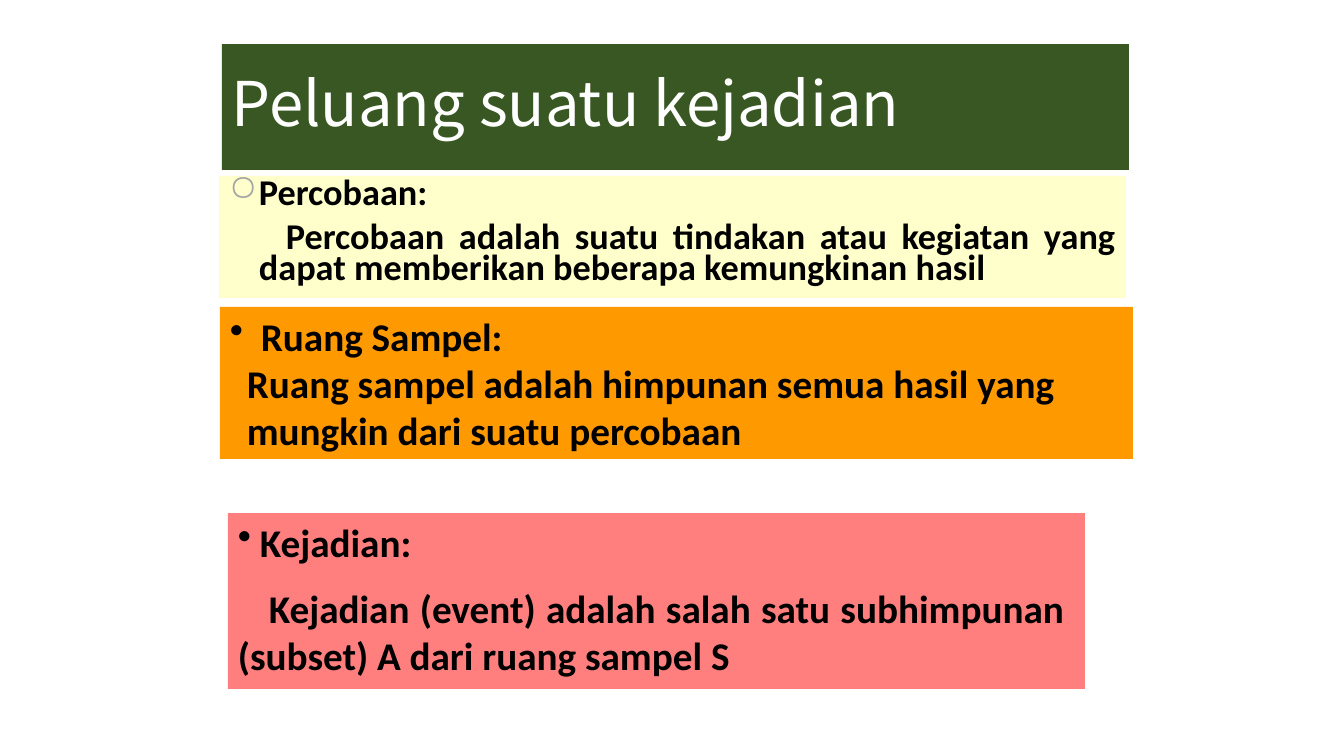
import pptx
import pptx.util
import pptx.dml.color
import pptx.enum.shapes
import pptx.enum.text
import pptx.oxml.ns
from lxml import etree

RGBColor = pptx.dml.color.RGBColor
Align = pptx.enum.text.PP_ALIGN
Anchor = pptx.enum.text.MSO_ANCHOR

PIXELS_PER_INCH = 100.8
GREEN = RGBColor(0x38, 0x57, 0x23)
CREAM = RGBColor(0xFF, 0xFF, 0xCC)
ORANGE = RGBColor(0xFF, 0x99, 0x00)
RED = RGBColor(0xFF, 0x00, 0x00)
WHITE = RGBColor(0xFF, 0xFF, 0xFF)
BLACK = RGBColor(0x00, 0x00, 0x00)
GRAY = RGBColor(0xA5, 0xA5, 0xA5)


def px(length):
    return pptx.util.Emu(round(length * 914400 / PIXELS_PER_INCH))


def add_child(parent, tag, **attributes):
    child = etree.SubElement(parent, pptx.oxml.ns.qn(tag))
    for name, value in attributes.items():
        child.set(name, str(value))
    return child


def add_panel(slide, left, top, width, height, color, anchor=Anchor.TOP, opacity=100):
    """Add a filled rectangle and return its text frame."""
    shape = slide.shapes.add_shape(
        pptx.enum.shapes.MSO_SHAPE.RECTANGLE, px(left), px(top), px(width), px(height))
    shape.shadow.inherit = False
    shape.line.fill.background()
    shape.fill.solid()
    shape.fill.fore_color.rgb = color
    if opacity < 100:
        color_element = shape.fill._xPr.find(".//" + pptx.oxml.ns.qn("a:srgbClr"))
        add_child(color_element, "a:alpha", val=opacity * 1000)
    frame = shape.text_frame
    frame.word_wrap = True
    frame.vertical_anchor = anchor
    return frame


def add_paragraph(frame, text, size, font="Calibri", color=BLACK, bold=True,
                  align=Align.LEFT, margin=0, indent=0, right=0,
                  line_spacing=1.0, space_before=0, bullet=None, bullet_color=BLACK):
    """Fill the empty first paragraph of the frame, or append another one."""
    paragraph = frame.paragraphs[0]
    if paragraph.runs:
        paragraph = frame.add_paragraph()
    paragraph.alignment = align
    paragraph.line_spacing = line_spacing
    paragraph.space_before = pptx.util.Pt(space_before)
    properties = paragraph._p.get_or_add_pPr()
    for name, length in (("marL", margin), ("marR", right), ("indent", indent)):
        properties.set(name, str(px(length)))
    if bullet:
        add_child(add_child(properties, "a:buClr"), "a:srgbClr", val=bullet_color)
        add_child(properties, "a:buChar", char=bullet)
    run = paragraph.add_run()
    run.text = text
    run.font.name = font
    run.font.size = pptx.util.Pt(size)
    run.font.bold = bold
    run.font.color.rgb = color


def main():
    presentation = pptx.Presentation()
    presentation.slide_width = px(1344)
    presentation.slide_height = px(756)
    slide = presentation.slides.add_slide(presentation.slide_layouts[6])

    title = add_panel(slide, 222, 44, 907, 126, GREEN, anchor=Anchor.MIDDLE)
    add_paragraph(title, "Peluang suatu kejadian", 44, font="Noto Sans CJK JP",
                  color=WHITE, bold=False, line_spacing=0.9)

    experiment = add_panel(slide, 219, 176, 907, 122, CREAM)
    add_paragraph(experiment, "Percobaan:", 25.9, margin=30, indent=-30,
                  line_spacing=0.7, bullet="○", bullet_color=GRAY)
    add_paragraph(experiment,
                  "Percobaan adalah suatu tindakan atau kegiatan yang "
                  "dapat memberikan beberapa kemungkinan hasil",
                  25.9, align=Align.JUSTIFY, margin=30, indent=27,
                  line_spacing=0.7, space_before=10)

    sample_space = add_panel(slide, 220, 307, 913, 152, ORANGE)
    add_paragraph(sample_space, "Ruang Sampel:", 28, margin=31, indent=-31, bullet="•")
    add_paragraph(sample_space,
                  "Ruang sampel adalah himpunan semua hasil yang "
                  "mungkin dari suatu percobaan", 28, margin=17)

    event = add_panel(slide, 228, 513, 857, 176, RED, opacity=50)
    add_paragraph(event, "Kejadian:", 28, margin=22, indent=-22, bullet="•")
    add_paragraph(event,
                  "Kejadian (event) adalah salah satu subhimpunan "
                  "(subset) A dari ruang sampel S",
                  28, align=Align.JUSTIFY, indent=31, right=11, space_before=14)

    presentation.save("out.pptx")


if __name__ == "__main__":
    main()
